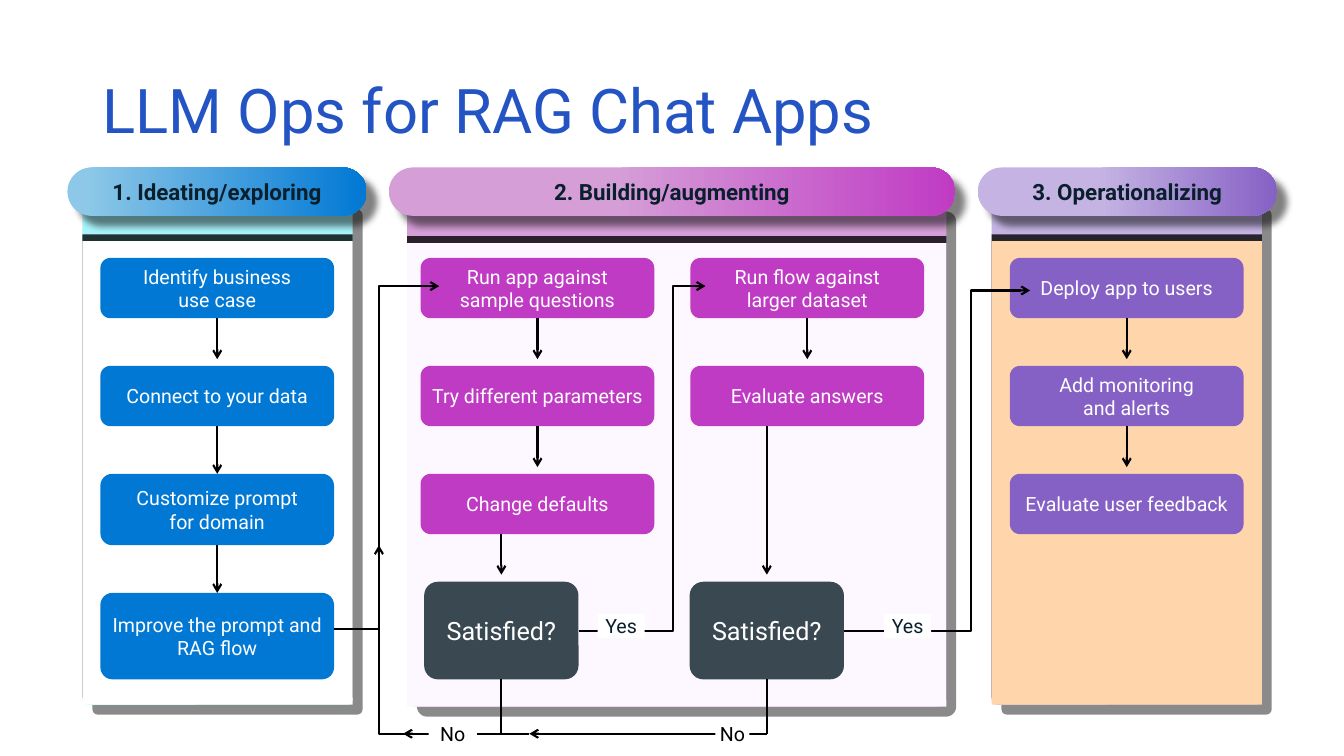
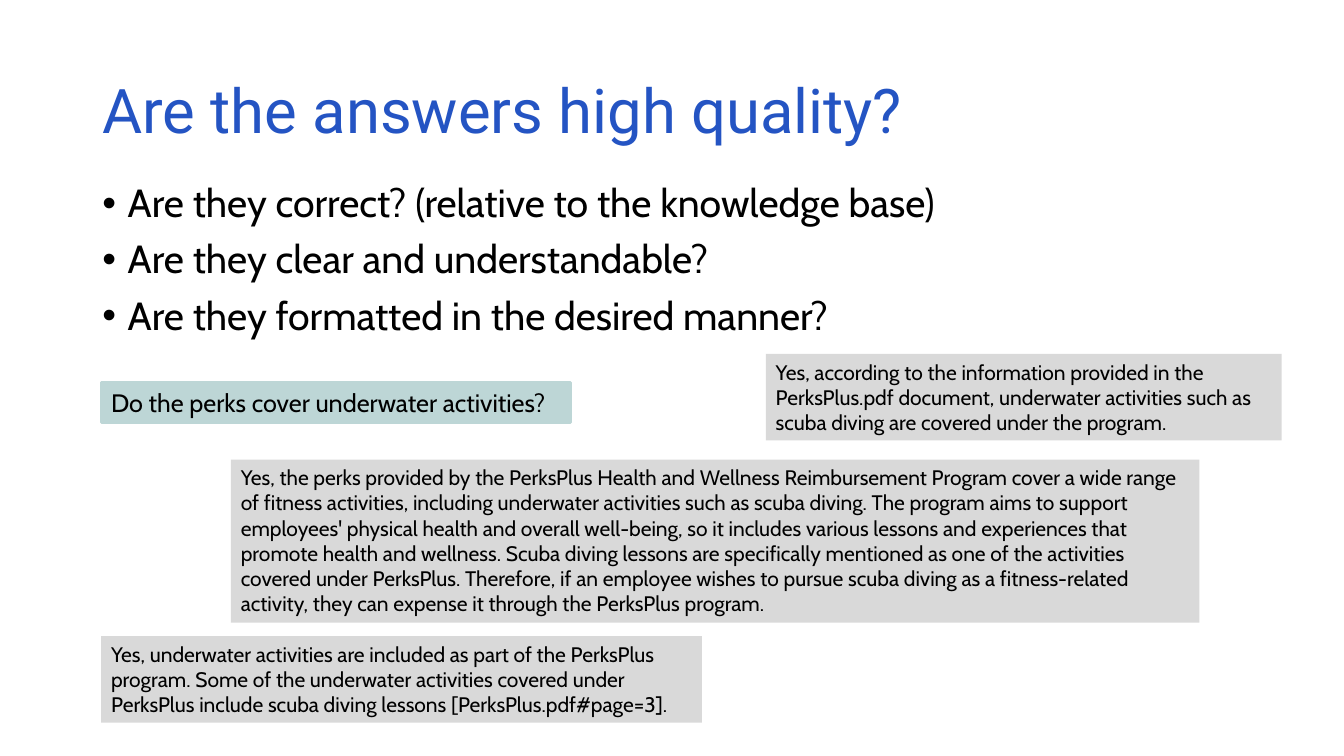
from dataclasses import dataclass
from itertools import pairwise

from lxml import etree
from pptx import Presentation
from pptx.dml.color import RGBColor
from pptx.enum.shapes import MSO_CONNECTOR, MSO_SHAPE
from pptx.enum.text import MSO_ANCHOR, MSO_AUTO_SIZE, PP_ALIGN
from pptx.oxml.ns import qn
from pptx.util import Cm, Pt

RECTANGLE = MSO_SHAPE.RECTANGLE
ROUNDED = MSO_SHAPE.ROUNDED_RECTANGLE
STRAIGHT = MSO_CONNECTOR.STRAIGHT
TOP, MIDDLE = MSO_ANCHOR.TOP, MSO_ANCHOR.MIDDLE
LEFT, CENTER = PP_ALIGN.LEFT, PP_ALIGN.CENTER
TITLE_ONLY = 5
SIDE_BOTTOM, SIDE_RIGHT, SIDE_TOP = 2, 3, 0


@dataclass(frozen=True)
class Theme:
    heading_font: str = "Roboto"
    body_font: str = "Cabin"
    title: str = "2454C3"
    ink: str = "091F2C"
    black: str = "000000"
    white: str = "FFFFFF"
    blue: str = "0078D4"
    sky: str = "8DC8E8"
    cyan: str = "A8F4FB"
    magenta: str = "C03BC4"
    pink: str = "D59ED7"
    blush: str = "FDF7FF"
    purple: str = "8661C5"
    lilac: str = "C5B4E3"
    peach: str = "FFD5AB"
    slate: str = "3A4852"
    answer: str = "D9D9D9"
    question: str = "BDD6D6"
    title_size: float = 44
    bullet_size: float = 28
    large_size: float = 18
    heading_size: float = 16
    answer_size: float = 15
    card_size: float = 14
    line_width: float = 1.5


def rgb(value):
    return RGBColor.from_string(value)


def write_text(shape, text, *, font, size, color, bold=False, align=LEFT, anchor=TOP,
               margins=(0.25, 0.13), line_spacing=None, space_before=0, bullet=False):
    frame = shape.text_frame
    frame.word_wrap = True
    frame.auto_size = MSO_AUTO_SIZE.NONE
    frame.vertical_anchor = anchor
    frame.margin_left = frame.margin_right = Cm(margins[0])
    frame.margin_top = frame.margin_bottom = Cm(margins[1])
    lines = [text] if isinstance(text, str) else text
    for index, line in enumerate(lines):
        paragraph = frame.add_paragraph() if index else frame.paragraphs[0]
        paragraph.text = line
        paragraph.alignment = align
        if line_spacing:
            paragraph.line_spacing = line_spacing
        if index:
            paragraph.space_before = Pt(space_before)
        if bullet:
            properties = paragraph._p.get_or_add_pPr()
            properties.set("marL", str(Cm(0.64)))
            properties.set("indent", str(Cm(-0.64)))
            etree.SubElement(properties, qn("a:buFont"), typeface="Arial")
            etree.SubElement(properties, qn("a:buChar"), char="•")
        for run in paragraph.runs:
            run.font.name = font
            run.font.size = Pt(size)
            run.font.bold = bold
            run.font.color.rgb = rgb(color)


class Deck:
    def __init__(self, theme):
        self.theme = theme
        self.presentation = Presentation()
        self.presentation.slide_width = Cm(33.87)
        self.presentation.slide_height = Cm(19.05)
        self.slide = None

    def add_slide(self, title):
        layout = self.presentation.slide_layouts[TITLE_ONLY]
        self.slide = self.presentation.slides.add_slide(layout)
        shape = self.slide.shapes.title
        shape.left, shape.top, shape.width, shape.height = Cm(2.33), Cm(1.01), Cm(29.21), Cm(3.68)
        write_text(shape, title, font=self.theme.heading_font, size=self.theme.title_size,
                   color=self.theme.title, anchor=MIDDLE, line_spacing=0.9)

    def box(self, left, top, width, height, fill, kind=RECTANGLE, radius=None, shadow=None):
        shape = self.slide.shapes.add_shape(kind, Cm(left), Cm(top), Cm(width), Cm(height))
        shape.shadow.inherit = False
        shape.line.fill.background()
        if radius is not None:
            shape.adjustments[0] = radius
        if isinstance(fill, str):
            shape.fill.solid()
            shape.fill.fore_color.rgb = rgb(fill)
        else:
            shape.fill.gradient()
            shape.fill.gradient_angle = 0
            for stop, (position, color) in zip(shape.fill.gradient_stops, fill):
                stop.position = position
                stop.color.rgb = rgb(color)
        if shadow:
            self.cast_shadow(shape, *shadow)
        return shape

    def cast_shadow(self, shape, opacity, blur, distance, angle):
        effects = shape.element.spPr.find(qn("a:effectLst"))
        outer = etree.SubElement(effects, qn("a:outerShdw"), blurRad=str(Pt(blur)),
                                 dist=str(Pt(distance)), dir=str(angle * 60000),
                                 algn="ctr", rotWithShape="0")
        color = etree.SubElement(outer, qn("a:srgbClr"), val=self.theme.black)
        etree.SubElement(color, qn("a:alpha"), val=str(opacity * 1000))

    def panel(self, left, top, width, header, body):
        strip = 1.05
        height = 12.73
        self.box(left, top, width, height, header, ROUNDED, 0.02, (45, 0, 10, 45))
        self.box(left, top + strip, width, height - strip, body, shadow=(80, 0, 5, 270))

    def stage(self, left, width, text, start, light, dark):
        shape = self.box(left, 4.22, width, 1.22, [(start, light), (1, dark)],
                         ROUNDED, 0.5, (50, 5, 10, 45))
        write_text(shape, text, font=self.theme.heading_font, size=self.theme.heading_size,
                   color=self.theme.ink, bold=True, align=CENTER, anchor=MIDDLE, margins=(0, 0))

    def card(self, left, top, text, fill, width=5.89, height=1.52, radius=None,
             size=None, margin=0.0):
        shape = self.box(left, top, width, height, fill, ROUNDED, radius)
        write_text(shape, text, font=self.theme.heading_font, size=size or self.theme.card_size,
                   color=self.theme.white, align=CENTER, anchor=MIDDLE, margins=(margin, 0))
        return shape

    def column(self, left, texts, fill):
        cards = [self.card(left, 6.5 + 2.72 * row, text, fill) for row, text in enumerate(texts)]
        for upper, lower in pairwise(cards):
            self.arrow_down(upper, lower, 0.17)

    def decision(self, left):
        return self.card(left, 14.66, "Satisfied?", self.theme.slate, width=3.89, height=2.46,
                         radius=0.14, size=self.theme.large_size)

    def label(self, left, top, width, text, color):
        shape = self.box(left, top, width, 0.61, self.theme.white)
        write_text(shape, text, font=self.theme.heading_font, size=self.theme.card_size,
                   color=color, align=CENTER, anchor=MIDDLE, margins=(0, 0))

    def draw_stroke(self, shape, arrow):
        shape.line.color.rgb = rgb(self.theme.black)
        shape.line.width = Pt(self.theme.line_width)
        if arrow:
            etree.SubElement(shape.element.spPr.find(qn("a:ln")), qn("a:tailEnd"), type="arrow")

    def connector(self, start, end, arrow=False, begin=None, finish=None):
        shape = self.slide.shapes.add_connector(STRAIGHT, Cm(start[0]), Cm(start[1]),
                                                Cm(end[0]), Cm(end[1]))
        if begin:
            shape.begin_connect(*begin)
        if finish:
            shape.end_connect(*finish)
        self.draw_stroke(shape, arrow)
        etree.SubElement(shape.element.spPr, qn("a:effectLst"))

    def arrow_down(self, upper, lower, gap=0.0):
        center = (upper.left + upper.width // 2).cm if hasattr(upper.left + 0, "cm") else \
            Cm(0).cm + (upper.left + upper.width / 2) / Cm(1)
        self.connector((center, (upper.top + upper.height) / Cm(1)),
                       (center, lower.top / Cm(1) - gap), True, (upper, SIDE_BOTTOM),
                       None if gap else (lower, SIDE_TOP))

    def route(self, *points):
        corners = [(Cm(x), Cm(y)) for x, y in points]
        builder = self.slide.shapes.build_freeform(*corners[0])
        builder.add_line_segments(corners[1:], close=False)
        shape = builder.convert_to_shape()
        shape.fill.background()
        shape.shadow.inherit = False
        self.draw_stroke(shape, True)

    def bullets(self, left, top, width, height, lines):
        shape = self.slide.shapes.add_textbox(Cm(left), Cm(top), Cm(width), Cm(height))
        write_text(shape, lines, font=self.theme.body_font, size=self.theme.bullet_size,
                   color=self.theme.black, line_spacing=0.9, space_before=10, bullet=True)

    def quote(self, left, top, width, height, text, fill, size):
        shape = self.box(left, top, width, height, fill)
        write_text(shape, text, font=self.theme.body_font, size=size, color=self.theme.black)
        return shape


def build_process(deck):
    theme = deck.theme
    deck.add_slide("LLM Ops for RAG Chat Apps")
    deck.panel(2.08, 5.03, 6.81, theme.cyan, theme.white)
    deck.panel(10.26, 5.08, 13.59, theme.pink, theme.blush)
    deck.panel(24.99, 5.03, 6.81, theme.lilac, theme.peach)
    deck.stage(1.7, 7.54, "1. Ideating/exploring", 0.06, theme.sky, theme.blue)
    deck.stage(9.8, 14.27, "2. Building/augmenting", 0.4, theme.pink, theme.magenta)
    deck.stage(24.64, 7.54, "3. Operationalizing", 0.4, theme.lilac, theme.purple)

    explore = 2.53
    identify = deck.card(explore, 6.5, "Identify business\vuse case", theme.blue)
    connect = deck.card(explore, 9.22, "Connect to your data", theme.blue)
    customize = deck.card(explore, 11.94, "Customize prompt for domain", theme.blue,
                          height=1.8, margin=0.7)
    improve = deck.card(explore, 14.94, "Improve the prompt and RAG flow", theme.blue,
                        height=2.18, radius=0.14, margin=0.15)
    deck.arrow_down(identify, connect, 0.17)
    deck.arrow_down(connect, customize)
    deck.arrow_down(customize, improve)
    deck.column(10.6, ["Run app against\vsample questions", "Try different parameters",
                       "Change defaults"], theme.magenta)
    deck.column(17.4, ["Run flow against\vlarger dataset", "Evaluate answers"], theme.magenta)
    deck.column(25.45, ["Deploy app to users", "Add monitoring\vand alerts",
                        "Evaluate user feedback"], theme.purple)

    for left, start in ((10.69, 13.46), (17.38, 10.74)):
        decision = deck.decision(left)
        center, right = left + 1.945, left + 3.89
        deck.connector((center, start), (center, 14.48), True)
        deck.connector((right, 15.89), (right + 1.2, 15.89), begin=(decision, SIDE_RIGHT))
        deck.connector((center, 17.12), (center, 18.49), begin=(decision, SIDE_BOTTOM))

    loop, base = 9.55, 18.49
    deck.route((12.63, base), (loop, base), (loop, 13.74))
    deck.route((8.42, 15.85), (loop, 15.85), (loop, 7.21), (11.07, 7.21))
    deck.route((15.98, 15.89), (16.97, 15.89), (16.97, 7.21), (17.78, 7.21))
    deck.route((22.66, 15.89), (24.46, 15.89), (24.46, 7.32), (25.96, 7.32))
    deck.connector((10.92, base), (10.16, base), True)
    deck.connector((19.32, base), (13.34, base), True)
    deck.connector((13.34, base), (12.63, base))
    deck.label(10.8, 18.19, 1.22, "No", theme.black)
    deck.label(18.03, 18.19, 0.86, "No", theme.black)
    for left in (15.06, 22.28):
        deck.label(left, 15.47, 1.19, "Yes", theme.ink)


def build_quality(deck):
    theme = deck.theme
    deck.add_slide("Are the answers high quality?")
    deck.bullets(2.33, 4.5, 23.5, 4.22, [
        "Are they correct? (relative to the knowledge base)",
        "Are they clear and understandable?",
        "Are they formatted in the desired manner?",
    ])
    answers = [
        (2.55, 16.03, 15.14, 2.18,
         "Yes, underwater activities are included as part of the PerksPlus program. Some of the "
         "underwater activities covered under PerksPlus include scuba diving lessons "
         "[PerksPlus.pdf#page=3]."),
        (19.3, 8.92, 13, 2.18,
         "Yes, according to the information provided in the PerksPlus.pdf document, underwater "
         "activities such as scuba diving are covered under the program."),
        (5.82, 11.58, 24.41, 4.11,
         "Yes, the perks provided by the PerksPlus Health and Wellness Reimbursement Program cover "
         "a wide range of fitness activities, including underwater activities such as scuba diving. "
         "The program aims to support employees' physical health and overall well-being, so it "
         "includes various lessons and experiences that promote health and wellness. Scuba diving "
         "lessons are specifically mentioned as one of the activities covered under PerksPlus. "
         "Therefore, if an employee wishes to pursue scuba diving as a fitness-related activity, "
         "they can expense it through the PerksPlus program."),
    ]
    for left, top, width, height, text in answers:
        deck.quote(left, top, width, height, text, theme.answer, theme.answer_size)
    question = deck.quote(2.55, 9.63, 11.84, 1.02, "Do the perks cover underwater activities?",
                          theme.question, theme.large_size)
    question.line.color.rgb = rgb(theme.question)
    question.line.width = Pt(2.25)


def main():
    deck = Deck(Theme())
    build_process(deck)
    build_quality(deck)
    deck.presentation.save("out.pptx")


if __name__ == "__main__":
    main()
